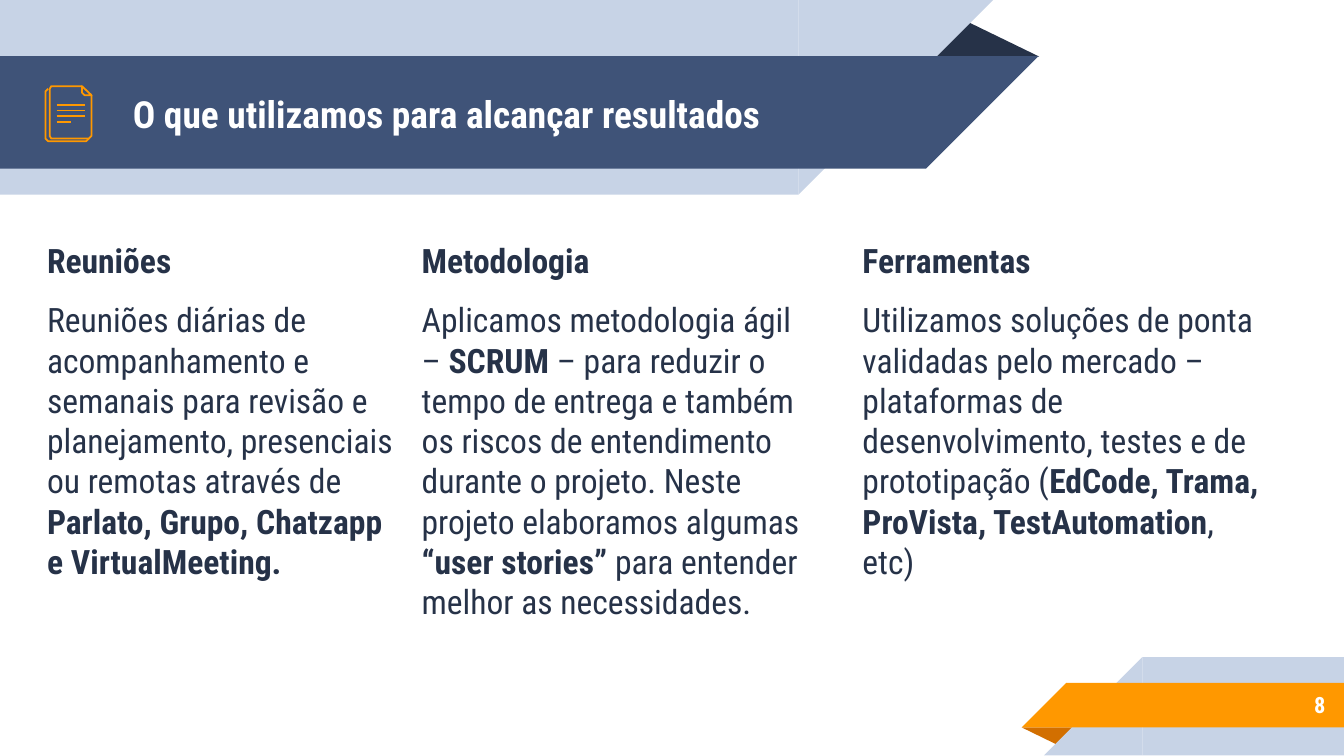
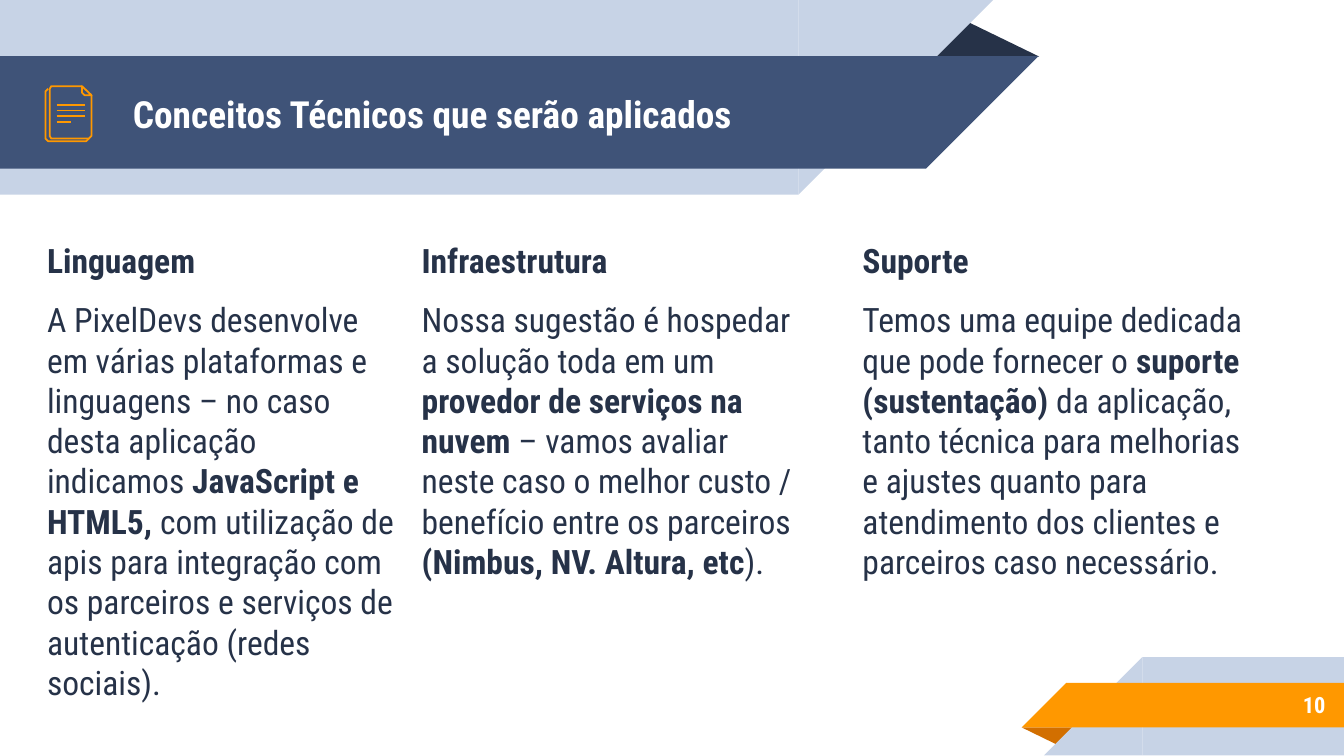
import dataclasses

import lxml.etree
import pptx
import pptx.dml.color
import pptx.enum.shapes
import pptx.enum.text
import pptx.oxml.ns
import pptx.util

Cm = pptx.util.Cm
Pt = pptx.util.Pt
SHAPES = pptx.enum.shapes.MSO_SHAPE
ALIGN = pptx.enum.text.PP_ALIGN
ANCHOR = pptx.enum.text.MSO_ANCHOR


@dataclasses.dataclass(frozen=True)
class Theme:
    font: str = "Roboto Condensed"
    ink: str = "263248"
    navy: str = "3F5378"
    mist: str = "C7D3E6"
    orange: str = "FF9800"
    rust: str = "D26F00"
    white: str = "FFFFFF"
    title_size: int = 20
    body_size: int = 18
    number_size: int = 12
    icon_line: float = 0.96


THEME = Theme()
SLIDE_WIDTH = 25.4
SLIDE_HEIGHT = 14.29
COLUMN_TOP = 4.29
COLUMNS = [(0.64, 7.06, 9.7), (7.72, 7.67, 7.52), (16.05, 8.05, 7.52)]

ICON_BACK_PAGE = [(1.68, 2.62), (1.63, 2.67), (0.91, 2.67), (0.86, 2.62), (0.86, 1.73), (0.91, 1.68)]
ICON_FRONT_PAGE = [(1.73, 1.8), (1.73, 2.57), (1.68, 2.62), (0.97, 2.62),
                   (0.94, 2.57), (0.94, 1.68), (0.97, 1.63), (1.55, 1.63)]
ICON_FOLDED_CORNER = [(1.55, 1.63), (1.73, 1.8), (1.6, 1.8), (1.55, 1.75)]
ICON_LINE_ENDS = [1.6, 1.6, 1.6, 1.35]

# Column text alternates regular and bold segments.
SLIDES = [
    ("O que utilizamos para alcançar resultados", "8", [
        ("Reuniões", [
            "Reuniões diárias de acompanhamento e semanais para revisão e planejamento, "
            "presenciais ou remotas através de ",
            "Parlato, Grupo, Chatzapp e VirtualMeeting."]),
        ("Metodologia", [
            "Aplicamos metodologia ágil – ",
            "SCRUM",
            " – para reduzir o tempo de entrega e também os riscos de entendimento "
            "durante o projeto. Neste projeto elaboramos algumas ",
            "“user stories” ",
            "para entender melhor as necessidades."]),
        ("Ferramentas", [
            "Utilizamos soluções de ponta validadas pelo mercado – plataformas de "
            "desenvolvimento, testes e de prototipação (",
            "EdCode, Trama, ProVista, TestAutomation",
            ", etc)"]),
    ]),
    ("Conceitos Técnicos que serão aplicados", "10", [
        ("Linguagem", [
            "A PixelDevs desenvolve em várias plataformas e linguagens – no caso "
            "desta aplicação indicamos ",
            "JavaScript e HTML5, ",
            "com utilização de apis para integração com os parceiros e serviços de "
            "autenticação (redes sociais)."]),
        ("Infraestrutura", [
            "Nossa sugestão é hospedar a solução toda em um ",
            "provedor de serviços na nuvem ",
            "– vamos avaliar neste caso o melhor custo / benefício entre os parceiros ",
            "(Nimbus, NV. Altura, etc",
            ")."]),
        ("Suporte", [
            "Temos uma equipe dedicada que pode fornecer o ",
            "suporte (sustentação) ",
            "da aplicação, tanto técnica para melhorias e ajustes quanto para "
            "atendimento dos clientes e parceiros caso necessário."]),
    ]),
]


def rgb(colour):
    return pptx.dml.color.RGBColor.from_string(colour)


def add_filled_shape(slide, kind, left, top, width, height, colour, rotation=0):
    shape = slide.shapes.add_shape(kind, Cm(left), Cm(top), Cm(width), Cm(height))
    shape.shadow.inherit = False
    shape.fill.solid()
    shape.fill.fore_color.rgb = rgb(colour)
    shape.line.fill.background()
    shape.rotation = rotation
    return shape


def add_fold(slide, left, top, width, height, colour, rotation=0):
    fold = add_filled_shape(slide, SHAPES.ISOSCELES_TRIANGLE, left, top, width, height, colour, rotation)
    fold.adjustments[0] = 0.324


def add_left_band(slide, top, length, height, colour):
    add_filled_shape(slide, SHAPES.RECTANGLE, 0, top, length, height, colour)
    add_filled_shape(slide, SHAPES.RIGHT_TRIANGLE, length, top, height, height, colour, 90)


def add_right_band(slide, left, top, height, colour):
    start = left + height
    add_filled_shape(slide, SHAPES.RECTANGLE, start, top, SLIDE_WIDTH - start, height, colour)
    add_filled_shape(slide, SHAPES.RIGHT_TRIANGLE, left, top, height, height, colour, 270)


def add_bands(slide):
    add_fold(slide, 17.48, 0.36, 2.16, 0.71, THEME.ink)
    add_left_band(slide, 0, 15.09, 3.68, THEME.mist)
    add_left_band(slide, 1.06, 17.5, 2.13, THEME.navy)
    add_fold(slide, 19.31, 13.75, 1.09, 0.36, THEME.rust, 180)
    add_right_band(slide, 19.73, 12.42, 1.86, THEME.mist)
    add_right_band(slide, 19.31, 12.91, 0.84, THEME.orange)


def format_frame(text_frame, anchor):
    text_frame.word_wrap = True
    text_frame.auto_size = pptx.enum.text.MSO_AUTO_SIZE.NONE
    text_frame.vertical_anchor = anchor
    text_frame.margin_left = text_frame.margin_right = Cm(0.25)
    text_frame.margin_top = text_frame.margin_bottom = Cm(0.25)


def add_text_box(slide, left, top, width, height, anchor):
    box = slide.shapes.add_textbox(Cm(left), Cm(top), Cm(width), Cm(height))
    format_frame(box.text_frame, anchor)
    return box.text_frame


def add_run(paragraph, text, size, colour, bold=True):
    run = paragraph.add_run()
    run.text = text
    run.font.name = THEME.font
    run.font.size = Pt(size)
    run.font.bold = bold
    run.font.color.rgb = rgb(colour)


def set_title(slide, text):
    title = slide.shapes.title
    title.left, title.top, title.width, title.height = Cm(2.26), Cm(1.09), Cm(14.6), Cm(2.13)
    title.element.getparent().append(title.element)
    format_frame(title.text_frame, ANCHOR.MIDDLE)
    paragraph = title.text_frame.paragraphs[0]
    paragraph.alignment = ALIGN.LEFT
    add_run(paragraph, text, THEME.title_size, THEME.white)


def add_column(slide, place, heading, segments):
    left, width, height = place
    text_frame = add_text_box(slide, left, COLUMN_TOP, width, height, ANCHOR.TOP)
    paragraph = text_frame.paragraphs[0]
    paragraph.space_before = Pt(6)
    add_run(paragraph, heading, THEME.body_size, THEME.ink)
    paragraph = text_frame.add_paragraph()
    paragraph.space_before = Pt(10)
    for index, segment in enumerate(segments):
        add_run(paragraph, segment, THEME.body_size, THEME.ink, bold=index % 2 == 1)


def add_slide_number(slide, number):
    text_frame = add_text_box(slide, 21.16, 12.88, 4.14, 0.89, ANCHOR.MIDDLE)
    paragraph = text_frame.paragraphs[0]
    paragraph.alignment = ALIGN.RIGHT
    add_run(paragraph, number, THEME.number_size, THEME.white)


def format_icon_line(line):
    line.color.rgb = rgb(THEME.orange)
    line.width = Pt(THEME.icon_line)


def add_outline(slide, points, close=False):
    corners = [(Cm(x), Cm(y)) for x, y in points]
    builder = slide.shapes.build_freeform(*corners[0])
    builder.add_line_segments(corners[1:], close=close)
    outline = builder.convert_to_shape()
    outline.shadow.inherit = False
    outline.fill.background()
    format_icon_line(outline.line)


def add_icon_line(slide, left, right, top):
    connector = slide.shapes.add_connector(
        pptx.enum.shapes.MSO_CONNECTOR.STRAIGHT, Cm(left), Cm(top), Cm(right), Cm(top))
    format_icon_line(connector.line)
    properties = connector.element.find(pptx.oxml.ns.qn("p:spPr"))
    lxml.etree.SubElement(properties, pptx.oxml.ns.qn("a:effectLst"))


def add_document_icon(slide):
    add_outline(slide, ICON_BACK_PAGE)
    add_outline(slide, ICON_FRONT_PAGE)
    add_outline(slide, ICON_FOLDED_CORNER, close=True)
    for index, right in enumerate(ICON_LINE_ENDS):
        add_icon_line(slide, 1.07, right, 1.98 + 0.11 * index)


def add_content_slide(presentation, title, number, columns):
    slide = presentation.slides.add_slide(presentation.slide_layouts.get_by_name("Title Only"))
    add_bands(slide)
    set_title(slide, title)
    for place, (heading, segments) in zip(COLUMNS, columns):
        add_column(slide, place, heading, segments)
    add_slide_number(slide, number)
    add_document_icon(slide)


def main():
    presentation = pptx.Presentation()
    presentation.slide_width = Cm(SLIDE_WIDTH)
    presentation.slide_height = Cm(SLIDE_HEIGHT)
    for title, number, columns in SLIDES:
        add_content_slide(presentation, title, number, columns)
    presentation.save("out.pptx")


if __name__ == "__main__":
    main()
